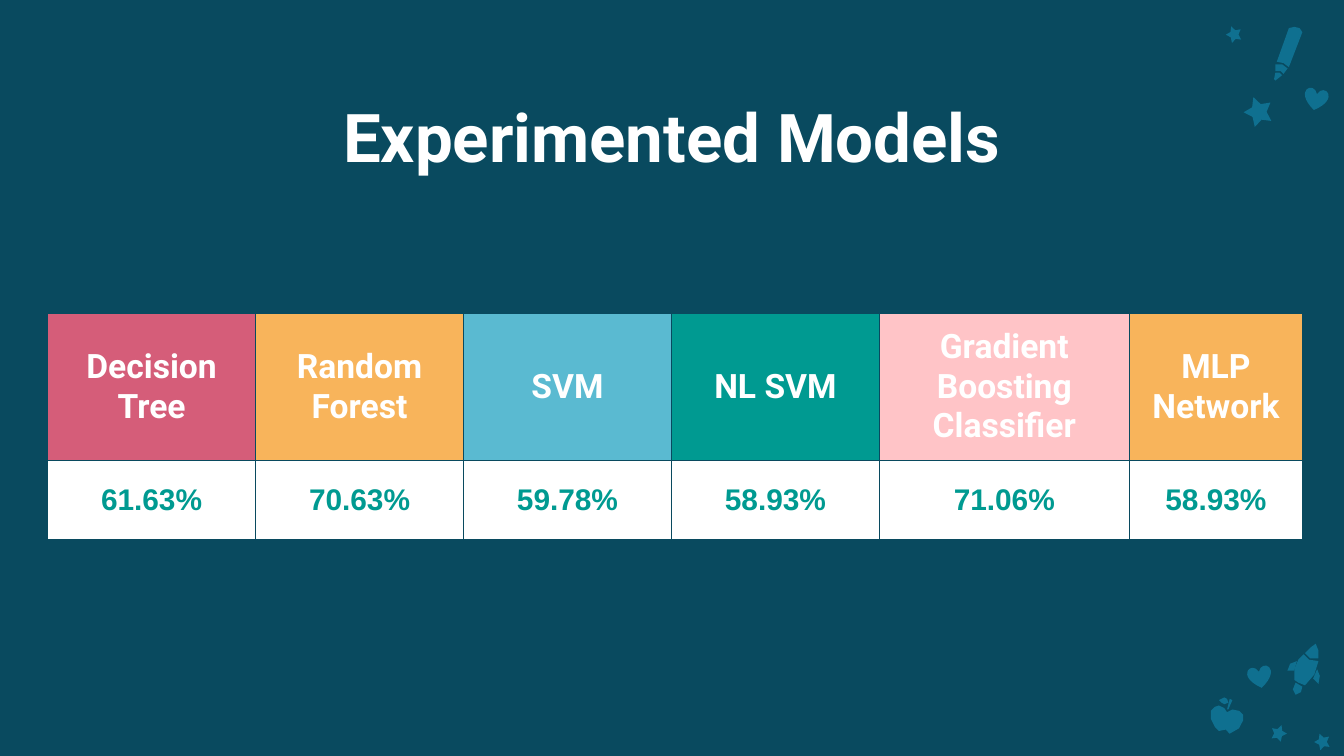
from typing import NamedTuple

from lxml.etree import SubElement
from pptx import Presentation
from pptx.dml.color import RGBColor
from pptx.enum.shapes import MSO_SHAPE as Preset
from pptx.enum.text import MSO_ANCHOR as Anchor, PP_ALIGN as Align
from pptx.oxml.ns import qn
from pptx.util import Cm, Pt

COLORS = {
    "background": "094A5F",
    "doodle": "0F7090",
    "white": "FFFFFF",
    "rose": "D55D79",
    "orange": "F8B45B",
    "sky": "5ABAD1",
    "teal": "009A91",
    "pink": "FFC4C7",
}
INCH = 2.54
INSET = Cm(0.25)


class Model(NamedTuple):
    name: str
    accuracy: str
    color: str
    width: float


class Doodle(NamedTuple):
    """A preset ornament, placed by its centre in cm."""
    preset: Preset
    x: float
    y: float
    width: float
    height: float
    tilt: float


MODELS = [
    Model("Decision Tree", "61.63%", "rose", 3.93),
    Model("Random Forest", "70.63%", "orange", 3.93),
    Model("SVM", "59.78%", "sky", 3.93),
    Model("NL SVM", "58.93%", "teal", 3.93),
    Model("Gradient Boosting Classifier", "71.06%", "pink", 4.72),
    Model("MLP Network", "58.93%", "orange", 3.28),
]

DOODLES = [
    Doodle(Preset.STAR_5_POINT, 23.32, 0.64, 0.3, 0.3, -20),
    Doodle(Preset.STAR_5_POINT, 23.78, 2.09, 0.54, 0.54, -20),
    Doodle(Preset.STAR_5_POINT, 24.17, 13.85, 0.3, 0.3, 20),
    Doodle(Preset.STAR_5_POINT, 24.99, 14.01, 0.3, 0.3, -20),
    Doodle(Preset.HEART, 24.87, 1.88, 0.45, 0.41, 11),
    Doodle(Preset.HEART, 23.81, 12.8, 0.45, 0.41, -10),
]

# Outline corners in hundredths of an inch
APPLE = [
    [(907, 525), (911, 527), (913, 530), (917, 528), (922, 529), (925, 532),
     (925, 536), (922, 542), (915, 546), (912, 543), (907, 544), (904, 541),
     (901, 535), (901, 529), (904, 526)],
    [(915, 520), (917, 521), (914, 528), (913, 528)],
    [(907, 521), (911, 519), (913, 520), (914, 523), (911, 524), (909, 523)],
]
PENCIL = [
    [(959, 21), (963, 20), (967, 21), (969, 24), (959, 50), (955, 47), (950, 46)],
    [(949, 48), (954, 48), (958, 51), (955, 55), (953, 53), (949, 53)],
    [(949, 54), (952, 54), (954, 56), (949, 60), (948, 59)],
]
ROCKET = [
    [(979, 479), (981, 484), (981, 490), (975, 490), (971, 486), (975, 482)],
    [(970, 487), (974, 491), (981, 492), (978, 502), (971, 510), (966, 508),
     (963, 506), (963, 498), (966, 491)],
    [(964, 508), (969, 511), (968, 515), (964, 517), (962, 513)],
    [(965, 492), (963, 499), (958, 499), (960, 494)],
    [(980, 498), (982, 503), (981, 509), (977, 505)],
]


def rgb(name: str) -> RGBColor:
    return RGBColor.from_string(COLORS[name])


def paint_doodle(shape) -> None:
    shape.shadow.inherit = False
    shape.fill.solid()
    shape.fill.fore_color.rgb = rgb("doodle")
    shape.line.fill.background()


def draw_doodle(slide, doodle: Doodle) -> None:
    shape = slide.shapes.add_shape(
        doodle.preset, Cm(doodle.x - doodle.width / 2),
        Cm(doodle.y - doodle.height / 2), Cm(doodle.width), Cm(doodle.height))
    shape.rotation = doodle.tilt
    if doodle.preset == Preset.STAR_5_POINT:
        shape.adjustments[0] = 0.26
    paint_doodle(shape)


def draw_outline(slide, corners: list[tuple[int, int]]) -> None:
    builder = slide.shapes.build_freeform(*corners[0], scale=Cm(INCH) / 100)
    builder.add_line_segments(corners[1:], close=True)
    paint_doodle(builder.convert_to_shape())


def set_text(frame, text: str, size: int, font: str, color: str) -> None:
    frame.text = text
    frame.word_wrap = True
    paragraph = frame.paragraphs[0]
    paragraph.alignment = Align.CENTER
    for run in paragraph.runs:
        run.font.size = Pt(size)
        run.font.name = font
        run.font.bold = True
        run.font.color.rgb = rgb(color)


def set_borders(cell) -> None:
    """Draw the four cell borders; they must come before the cell fill."""
    properties = cell._tc.get_or_add_tcPr()
    for side in ("a:lnL", "a:lnR", "a:lnT", "a:lnB"):
        border = SubElement(properties, qn(side), w=str(Pt(0.75)))
        fill = SubElement(border, qn("a:solidFill"))
        SubElement(fill, qn("a:srgbClr"), val=COLORS["background"])


def style_cell(cell, text: str, size: int, font: str, color: str, fill: str) -> None:
    set_text(cell.text_frame, text, size, font, color)
    cell.vertical_anchor = Anchor.MIDDLE
    cell.margin_left = cell.margin_right = INSET
    cell.margin_top = cell.margin_bottom = INSET
    set_borders(cell)
    cell.fill.solid()
    cell.fill.fore_color.rgb = rgb(fill)


def draw_title(slide, title: str) -> None:
    frame = slide.shapes.add_textbox(
        Cm(1.98), Cm(1.55), Cm(21.44), Cm(1.7)).text_frame
    set_text(frame, title, 36, "Roboto", "white")
    frame.margin_top = frame.margin_bottom = INSET


def draw_results(slide, models: list[Model]) -> None:
    width = sum(model.width for model in models)
    table = slide.shapes.add_table(
        2, len(models), Cm(0.9), Cm(5.92), Cm(width), Cm(3)).table
    table.horz_banding = False
    for column, model in enumerate(models):
        table.columns[column].width = Cm(model.width)
        style_cell(table.cell(0, column), model.name, 18, "Roboto", "white", model.color)
        style_cell(table.cell(1, column), model.accuracy, 16, "Arial", "teal", "white")


def main() -> None:
    deck = Presentation()
    deck.slide_width, deck.slide_height = Cm(25.4), Cm(14.29)
    slide = deck.slides.add_slide(deck.slide_layouts[6])
    slide.background.fill.solid()
    slide.background.fill.fore_color.rgb = rgb("background")
    for corners in APPLE + PENCIL + ROCKET:
        draw_outline(slide, corners)
    for doodle in DOODLES:
        draw_doodle(slide, doodle)
    draw_title(slide, "Experimented Models")
    draw_results(slide, MODELS)
    deck.save("out.pptx")


if __name__ == "__main__":
    main()
